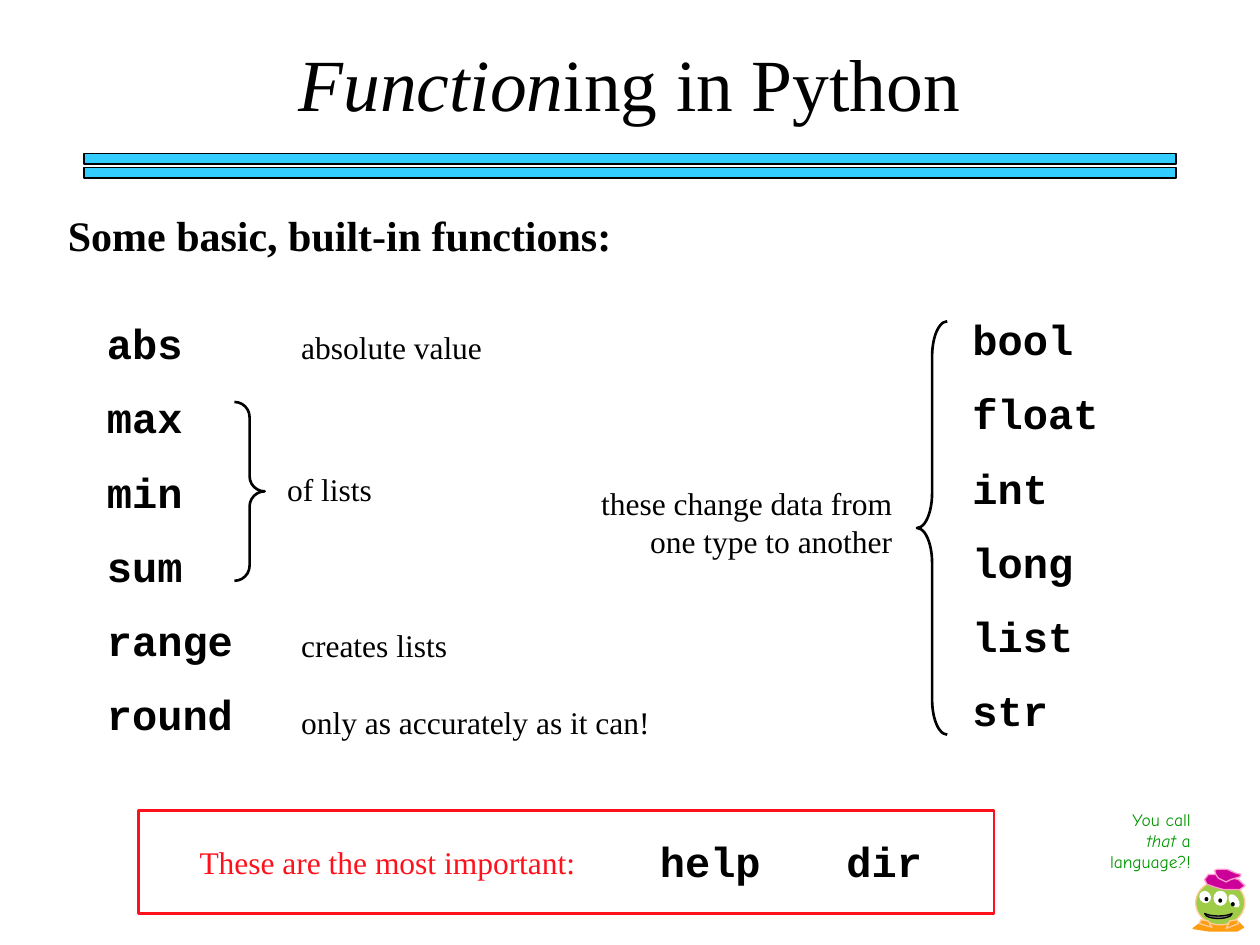
from dataclasses import dataclass
from typing import Optional

from pptx import Presentation
from pptx.dml.color import RGBColor
from pptx.enum.shapes import MSO_SHAPE
from pptx.enum.text import MSO_ANCHOR, PP_ALIGN
from pptx.util import Pt

RECT, OVAL, MOON = MSO_SHAPE.RECTANGLE, MSO_SHAPE.OVAL, MSO_SHAPE.MOON
LEFT_BRACE, RIGHT_BRACE = MSO_SHAPE.LEFT_BRACE, MSO_SHAPE.RIGHT_BRACE
LEFT, CENTER, RIGHT = PP_ALIGN.LEFT, PP_ALIGN.CENTER, PP_ALIGN.RIGHT
TOP = MSO_ANCHOR.TOP

BLACK = RGBColor(0x00, 0x00, 0x00)
WHITE = RGBColor(0xFF, 0xFF, 0xFF)
GRAY = RGBColor(0x80, 0x80, 0x80)
SKY = RGBColor(0x33, 0xCC, 0xFF)
RED = RGBColor(0xFF, 0x11, 0x1C)
GREEN = RGBColor(0x00, 0x96, 0x00)
LIME = RGBColor(0x9E, 0xCC, 0x46)
ORANGE = RGBColor(0xFD, 0x9D, 0x0F)
PEACH = RGBColor(0xFF, 0xCC, 0x99)
MAGENTA = RGBColor(0xCC, 0x00, 0x99)
PINK = RGBColor(0xFF, 0x99, 0xCC)

SERIF, MONO, COMIC = "Times New Roman", "Courier New", "Comic Neue"
CODE = {"name": MONO, "size": Pt(24), "bold": True}
HEADING = {"name": SERIF, "size": Pt(24), "bold": True}
NOTE = {"name": SERIF, "size": Pt(18)}
TITLE = {"name": SERIF, "size": Pt(42)}
SPEECH = {"name": COMIC, "size": Pt(10)}
ITALIC = {"italic": True}


@dataclass
class Label:
    box: tuple
    lines: list  # each line is a list of (text, extra format) runs
    font: dict
    color: RGBColor = BLACK
    align: int = LEFT
    wrap: bool = True


@dataclass
class Figure:
    kind: int
    box: tuple
    fill: Optional[RGBColor] = None
    line: Optional[RGBColor] = None
    width: float = 0.75
    adj: tuple = ()
    rotation: float = 0


@dataclass
class Outline:
    points: list
    fill: RGBColor
    line: RGBColor


def plain(*texts: str) -> list:
    return [[(text, {})] for text in texts]


def write(tf, label: Label) -> None:
    tf.word_wrap = label.wrap
    tf.vertical_anchor = TOP
    for i, line in enumerate(label.lines):
        p = tf.add_paragraph() if i else tf.paragraphs[0]
        p.alignment = label.align
        p.space_before = Pt(13.6 if i else 0)
        for text, extra in line:
            r = p.add_run()
            r.text = text
            for key, value in {**label.font, **extra}.items():
                setattr(r.font, key, value)
            r.font.color.rgb = label.color


def add_label(s, label: Label) -> None:
    write(s.shapes.add_textbox(*map(Pt, label.box)).text_frame, label)


def paint(sp, fill: Optional[RGBColor], line: Optional[RGBColor], width: float) -> None:
    sp.shadow.inherit = False
    if fill is None:
        sp.fill.background()
    else:
        sp.fill.solid()
        sp.fill.fore_color.rgb = fill
    if line is None:
        sp.line.fill.background()
    else:
        sp.line.color.rgb = line
        sp.line.width = Pt(width)


def add_figure(s, fig: Figure) -> None:
    sp = s.shapes.add_shape(fig.kind, *map(Pt, fig.box))
    for i, value in enumerate(fig.adj):
        sp.adjustments[i] = value
    sp.rotation = fig.rotation
    paint(sp, fig.fill, fig.line, fig.width)


def add_outline(s, outline: Outline) -> None:
    start, *rest = [(Pt(x), Pt(y)) for x, y in outline.points]
    builder = s.shapes.build_freeform(*start)
    builder.add_line_segments(rest)
    paint(builder.convert_to_shape(), outline.fill, outline.line, 0.75)


LABELS = [
    Label((31.7, 116, 337.7, 36), plain("Some basic, built-in functions:"), HEADING),
    # Function names
    Label((54, 178, 264, 251), plain("abs", "max", "min", "sum", "range", "round"), CODE),
    Label((548.6, 175.7, 90, 251), plain("bool", "float", "int", "long", "list", "str"), CODE),
    # Explanations
    Label((331, 273, 186, 50), plain("these change data from one type to another"), NOTE, align=RIGHT),
    Label((165, 183.6, 138, 29), plain("absolute value"), NOTE),
    Label((157, 265, 138, 29), plain("of lists"), NOTE),
    Label((165, 354.2, 138, 29), plain("creates lists"), NOTE),
    Label((165, 398, 282, 29), plain("only as accurately as it can!"), NOTE),
    # Most important functions
    Label((370, 474, 72, 36), plain("help"), CODE, wrap=False),
    Label((476.6, 474, 58, 36), plain("dir"), CODE, wrap=False),
    Label((66, 478, 270, 29), plain("These are the most important:"), NOTE, RED, RIGHT),
    # Alien's remark
    Label((624, 458.6, 63.4, 43),
          [[("You call ", {}), ("that ", ITALIC), ("a language?!", {})]], SPEECH, GREEN, RIGHT),
]

FIGURES = [
    *[Figure(RECT, (48, y, 624, 6), SKY, BLACK) for y in (87.8, 95.8)],
    Figure(RIGHT_BRACE, (134, 229.7, 17.3, 102.2), None, BLACK, 1.5, (0.5, 0.5)),
    Figure(LEFT_BRACE, (524, 183.6, 17.3, 236.2), None, BLACK, 1.5, (1.16, 0.5)),
    Figure(RECT, (79.2, 463, 488.9, 59), None, RED, 1.5),
]

FEET = Outline([(681.8, 530.6), (687.6, 526.3), (691.9, 523.4), (700.6, 524), (707, 526.3),
                (710.6, 529.9), (707, 532), (691, 532)], ORANGE, ORANGE)
FACE = [
    Figure(OVAL, (683.3, 503.3, 28, 25.2), LIME, PEACH),
    Figure(OVAL, (685.4, 509, 6.5, 7.2), WHITE, rotation=327),
    Figure(OVAL, (693.4, 509, 7.9, 8.6), WHITE),
    Figure(OVAL, (702.7, 510.5, 5, 8.6), WHITE, rotation=325),
    *[Figure(OVAL, (x, y, 2.2, 2.4), BLACK) for x, y in ((688.3, 512.6), (696.2, 513.4), (703.4, 515.5))],
    Figure(MOON, (694.8, 515.5, 2.9, 15.8), GRAY, BLACK, adj=(0.5,), rotation=270),
]
BERET_AND_TOES = [
    Outline([(696.2, 499.7), (690.5, 499.7), (688.3, 502.6), (689.8, 505.4), (694, 506.9),
             (699.1, 508.3), (708.5, 508.3), (711.4, 506.2), (707.8, 502.6)], MAGENTA, PINK),
    Outline([(696.2, 501.8), (694.8, 499.7), (694.1, 497.5), (695.5, 496.8), (701.3, 496.8),
             (706.3, 499), (709.2, 499.7), (708.5, 501.1), (703.4, 502.6), (700.6, 504)], MAGENTA, PINK),
    Outline([(685.4, 527.8), (686.2, 525.6), (690.5, 526.3), (692.6, 529.9)], ORANGE, PEACH),
    Outline([(707.8, 527.8), (707, 525.6), (702.7, 526.3), (700.6, 530.6)], ORANGE, PEACH),
]


def main() -> None:
    prs = Presentation()
    prs.slide_width, prs.slide_height = Pt(720), Pt(540)
    s = prs.slides.add_slide(prs.slide_layouts[5])

    # Title
    title = Label((26.6, 18, 666, 57.6), [[("Function", ITALIC), ("ing in Python", {})]],
                  TITLE, align=CENTER)
    sp = s.shapes.title
    sp.left, sp.top, sp.width, sp.height = map(Pt, title.box)
    write(sp.text_frame, title)

    # Rules, braces, frame and texts
    for fig in FIGURES:
        add_figure(s, fig)
    for label in LABELS:
        add_label(s, label)

    # Alien with a beret
    add_outline(s, FEET)
    for fig in FACE:
        add_figure(s, fig)
    for outline in BERET_AND_TOES:
        add_outline(s, outline)

    prs.save("out.pptx")


if __name__ == "__main__":
    main()
